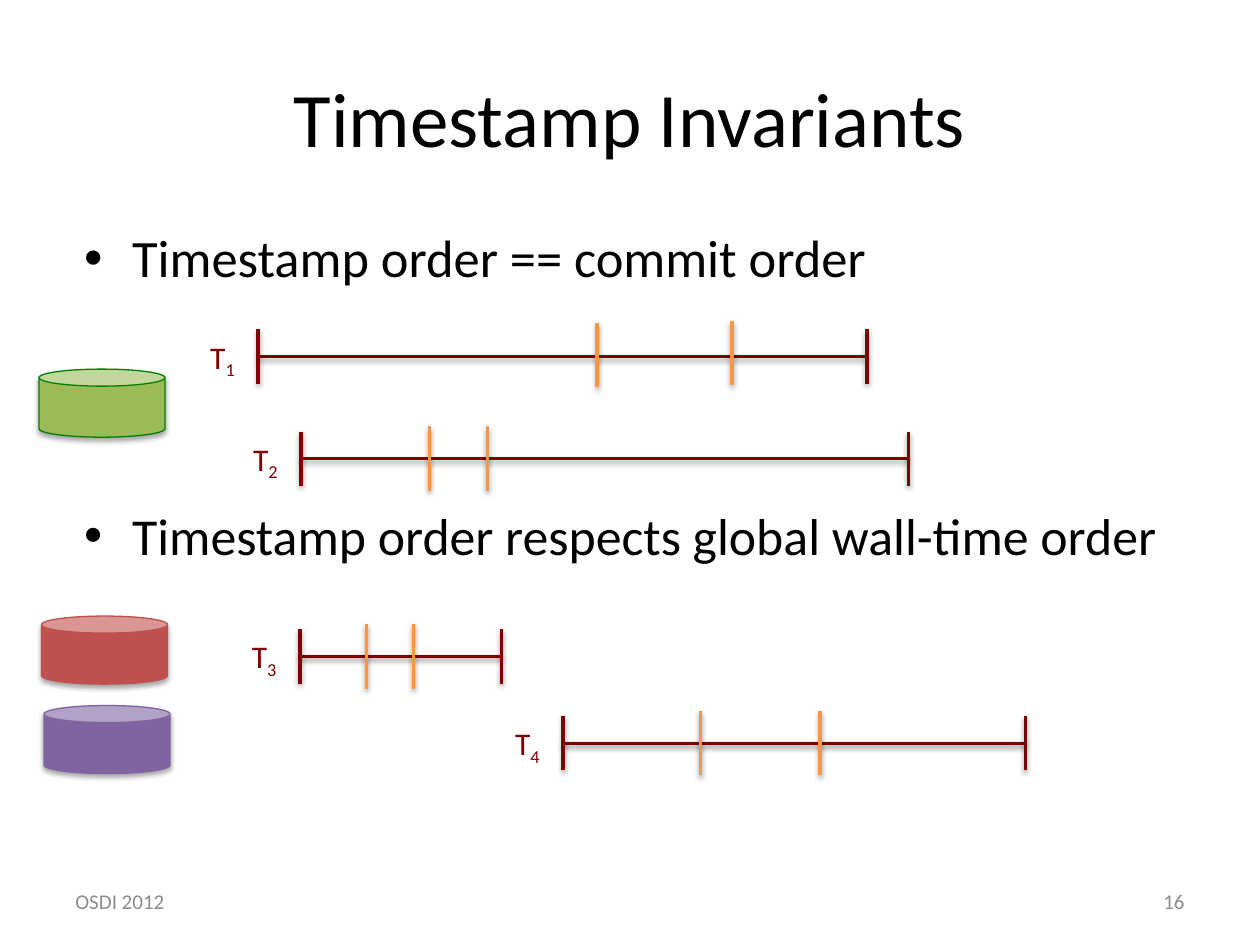
from lxml import etree
from pptx import Presentation
from pptx.dml.color import RGBColor
from pptx.enum.shapes import MSO_CONNECTOR, MSO_SHAPE
from pptx.enum.text import MSO_ANCHOR, PP_ALIGN
from pptx.oxml.ns import qn
from pptx.util import Inches, Pt

BLACK = RGBColor(0x00, 0x00, 0x00)
GRAY = RGBColor(0x8C, 0x8C, 0x8C)
MAROON = RGBColor(0x80, 0x00, 0x00)
ORANGE = RGBColor(0xF7, 0x96, 0x46)
GREEN = RGBColor(0x9B, 0xBB, 0x59)
DARK_GREEN = RGBColor(0x00, 0x80, 0x00)
PURPLE = RGBColor(0x80, 0x64, 0xA2)
RED = RGBColor(0xC0, 0x50, 0x4D)

TITLE = "Timestamp Invariants"
FOOTERS = [("OSDI 2012", 0.5, PP_ALIGN.LEFT), ("16", 7.17, PP_ALIGN.RIGHT)]
BULLETS = [  # text, top, height, size
    ("Timestamp order == commit order", 1.74, 0.86, 30),
    ("Timestamp order respects global wall-time order", 3.95, 1.06, 29.6),
]
TRANSACTIONS = [  # number, start, end, y, (x, y) of the middle of each event mark
    ("1", 2.05, 6.88, 2.83, [(4.74, 2.82), (5.81, 2.8)]),
    ("2", 2.39, 7.21, 3.64, [(3.41, 3.64), (3.87, 3.64)]),
    ("3", 2.38, 3.98, 5.21, [(2.91, 5.21), (3.28, 5.21)]),
    ("4", 4.47, 8.14, 5.9, [(5.56, 5.9), (6.51, 5.9)]),
]
DATABASES = [  # left, top, fill, outline
    (0.31, 2.93, GREEN, DARK_GREEN),
    (0.33, 4.89, RED, RED),
    (0.35, 5.6, PURPLE, PURPLE),
]
CAP_HEIGHT = 0.43
EVENT_HEIGHT = 0.51


def add_shadow(shape, blur, distance, opacity):
    properties = shape._element.spPr
    effects = properties.find(qn("a:effectLst"))
    if effects is None:
        effects = etree.SubElement(properties, qn("a:effectLst"))
    shadow = etree.SubElement(effects, qn("a:outerShdw"), blurRad=str(Pt(blur)),
                              dist=str(Pt(distance)), dir="5400000", rotWithShape="0")
    color = etree.SubElement(shadow, qn("a:srgbClr"), val="000000")
    etree.SubElement(color, qn("a:alpha"), val=str(opacity * 1000))


def add_text(page, text, bounds, size, color, align=PP_ALIGN.LEFT, anchor=MSO_ANCHOR.TOP):
    box = page.shapes.add_textbox(*map(Inches, bounds))
    frame = box.text_frame
    frame.word_wrap = True
    frame.vertical_anchor = anchor
    para = frame.paragraphs[0]
    para.alignment = align
    para.text = text
    format_values = {"name": "Calibri", "size": Pt(size)}
    for name, value in format_values.items():
        setattr(para.font, name, value)
    para.font.color.rgb = color
    for span in para.runs:
        style_span(span, size, color)
    return para


def style_span(span, size, color):
    for name, value in {"name": "Calibri", "size": Pt(size)}.items():
        setattr(span.font, name, value)
    span.font.color.rgb = color


def add_bullet(page, text, top, height, size):
    para = add_text(page, text, (0.57, top, 9, height), size, BLACK)
    para.space_before = Pt(size * 0.2)
    properties = para._p.get_or_add_pPr()
    properties.set("marL", str(Inches(0.38)))
    properties.set("indent", str(Inches(-0.38)))
    etree.SubElement(properties, qn("a:buFont"), typeface="Arial")
    etree.SubElement(properties, qn("a:buChar"), char="•")
    # The schema wants default run properties after the bullet.
    defaults = properties.find(qn("a:defRPr"))
    if defaults is not None:
        properties.append(defaults)


def add_line(page, start, end, color):
    line = page.shapes.add_connector(MSO_CONNECTOR.STRAIGHT, *map(Inches, start + end))
    line.line.color.rgb = color
    line.line.width = Pt(2)
    add_shadow(line, 3.1, 1.6, 38)


def add_mark(page, x, y, height, color):
    add_line(page, (x, y - height / 2), (x, y + height / 2), color)


def add_transaction(page, number, start, end, y):
    add_line(page, (start, y), (end, y), MAROON)
    for x in (start, end):
        add_mark(page, x, y, CAP_HEIGHT, MAROON)
    para = add_text(page, "T", (start - 0.48, y - 0.2, 0.45, 0.4), 18, MAROON)
    subscript = para.add_run()
    subscript.text = number
    style_span(subscript, 18, MAROON)
    subscript.font._element.set("baseline", "-25000")


def add_database(page, left, top, fill, outline):
    can = page.shapes.add_shape(MSO_SHAPE.CAN, *map(Inches, (left, top, 1, 0.54)))
    can.fill.solid()
    can.fill.fore_color.rgb = fill
    can.line.color.rgb = outline
    can.line.width = Pt(0.75)
    can.shadow.inherit = False
    add_shadow(can, 3.1, 1.8, 35)


def main():
    deck = Presentation()
    deck.slide_width, deck.slide_height = Inches(10), Inches(7.5)
    page = deck.slides.add_slide(deck.slide_layouts[6])

    add_text(page, TITLE, (0.5, 0.3, 9, 1.25), 44, BLACK, PP_ALIGN.CENTER, MSO_ANCHOR.MIDDLE)
    for text, left, align in FOOTERS:
        add_text(page, text, (left, 6.95, 2.33, 0.4), 12, GRAY, align, MSO_ANCHOR.MIDDLE)
    for bullet in BULLETS:
        add_bullet(page, *bullet)
    for *span, events in TRANSACTIONS:
        add_transaction(page, *span)
        for x, y in events:
            add_mark(page, x, y, EVENT_HEIGHT, ORANGE)
    for database in DATABASES:
        add_database(page, *database)
    deck.save("out.pptx")


if __name__ == "__main__":
    main()
